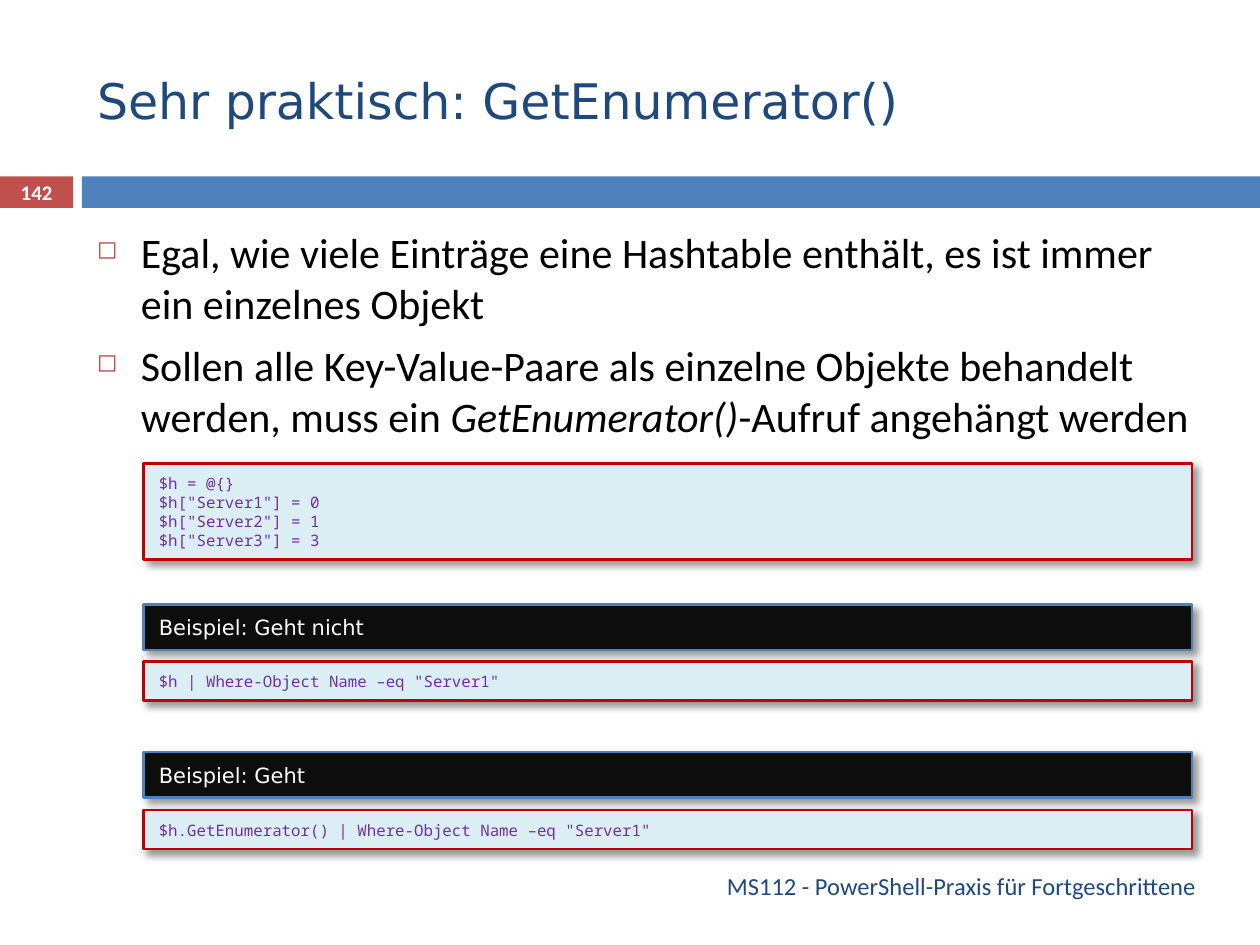
from lxml import etree
from pptx import Presentation
from pptx import util as u
from pptx.dml.color import RGBColor
from pptx.enum import shapes, text
from pptx.oxml import parse_xml
from pptx.oxml.ns import nsdecls, qn

HUE = {"navy": "1F497D", "blue": "4F81BD", "brick": "C0504D", "red": "C00000",
       "ice": "DBEEF4", "night": "0D0D0D", "plum": "7030A0",
       "white": "FFFFFF", "black": "000000"}
SANS, MONO, BODY = "DejaVu Sans", "Noto Sans Mono", "Calibri"

deck = Presentation()
deck.slide_width, deck.slide_height = u.Inches(10), u.Inches(7.5)
col, row = deck.slide_width // 1000, deck.slide_height // 750
slide = deck.slides.add_slide(deck.slide_layouts[5])
parts = slide.shapes


def grid(left, top, wide, high):
    return left * col, top * row, wide * col, high * row


def write(frame, lines, size, face, hue, align="LEFT", anchor="TOP", bold=False):
    frame.word_wrap = True
    frame.auto_size = text.MSO_AUTO_SIZE.NONE
    frame.vertical_anchor = getattr(text.MSO_ANCHOR, anchor)
    for i, line in enumerate(lines):
        para = frame.paragraphs[0] if i == 0 else frame.add_paragraph()
        para.alignment = getattr(text.PP_ALIGN, align)
        for words, slant in line:
            run = para.add_run()
            run.text = words
            run.font.size, run.font.name = u.Pt(size), face
            run.font.bold, run.font.italic = bold, slant
            run.font.color.rgb = RGBColor.from_string(HUE[hue])


for left, wide, hue in [(0, 58, "brick"), (65, 935, "blue")]:
    bar = parts.add_shape(shapes.MSO_SHAPE.RECTANGLE, *grid(left, 140, wide, 25))
    bar.shadow.inherit = False
    bar.fill.solid()
    bar.fill.fore_color.rgb = RGBColor.from_string(HUE[hue])
    bar.line.fill.background()

title = parts.title
title.left, title.top, title.width, title.height = grid(67, 25, 892, 108)
write(title.text_frame, [[("Sehr praktisch: GetEnumerator()", False)]],
      28, SANS, "navy", anchor="MIDDLE")

foot = parts.add_textbox(*grid(67, 683, 892, 40))
write(foot.text_frame, [[("MS112 - PowerShell-Praxis für Fortgeschrittene", False)]],
      14, BODY, "navy", "RIGHT", "MIDDLE")

body = parts.add_textbox(*grid(67, 175, 892, 192))
points = [
    [("Egal, wie viele Einträge eine Hashtable enthält, es ist immer ein einzelnes Objekt", False)],
    [("Sollen alle Key-Value-Paare als einzelne Objekte behandelt werden, muss ein ", False),
     ("GetEnumerator()", True), ("-Aufruf angehängt werden", False)],
]
write(body.text_frame, points, 24, BODY, "black")
for i, para in enumerate(body.text_frame.paragraphs):
    prop = para._p.get_or_add_pPr()
    prop.set("marL", str(35 * col))
    prop.set("indent", str(-35 * col))
    tint = etree.SubElement(prop, qn("a:buClr"))
    etree.SubElement(tint, qn("a:srgbClr")).set("val", HUE["brick"])
    etree.SubElement(prop, qn("a:buSzPct")).set("val", "60000")
    etree.SubElement(prop, qn("a:buChar")).set("char", "◻")
    para.space_before = u.Pt(7 if i else 0)

STYLE = {"code": ("ice", "red", 9, MONO, "plum"),
         "head": ("night", "blue", 12, SANS, "white")}
panels = [
    (480, 36, "head", ["Beispiel: Geht nicht"]),
    (525, 31, "code", ['$h | Where-Object Name –eq "Server1"']),
    (597, 36, "head", ["Beispiel: Geht"]),
    (643, 31, "code", ['$h.GetEnumerator() | Where-Object Name –eq "Server1"']),
    (368, 76, "code", ["$h = @{}", '$h["Server1"] = 0',
                       '$h["Server2"] = 1', '$h["Server3"] = 3']),
]
for top, high, kind, lines in panels:
    fill, edge, size, face, ink = STYLE[kind]
    card = parts.add_shape(shapes.MSO_SHAPE.RECTANGLE, *grid(114, top, 832, high))
    card.fill.solid()
    card.fill.fore_color.rgb = RGBColor.from_string(HUE[fill])
    card.line.color.rgb = RGBColor.from_string(HUE[edge])
    card.line.width = u.Pt(1.5)
    card._element.spPr.append(parse_xml(
        f'<a:effectLst {nsdecls("a")}><a:outerShdw blurRad="{u.Pt(4)}" dist="{u.Pt(3)}" '
        f'dir="2700000" algn="tl" rotWithShape="0"><a:srgbClr val="{HUE["black"]}">'
        '<a:alpha val="40000"/></a:srgbClr></a:outerShdw></a:effectLst>'))
    frame = card.text_frame
    frame.margin_left, frame.margin_right = 12 * col, 10 * col
    frame.margin_top = frame.margin_bottom = 8 * row
    write(frame, [[(line, False)] for line in lines], size, face, ink)

page = parts.add_textbox(*grid(0, 139, 58, 27))
write(page.text_frame, [[("142", False)]], 11.9, BODY, "white", "CENTER", "MIDDLE", True)

deck.save("out.pptx")
